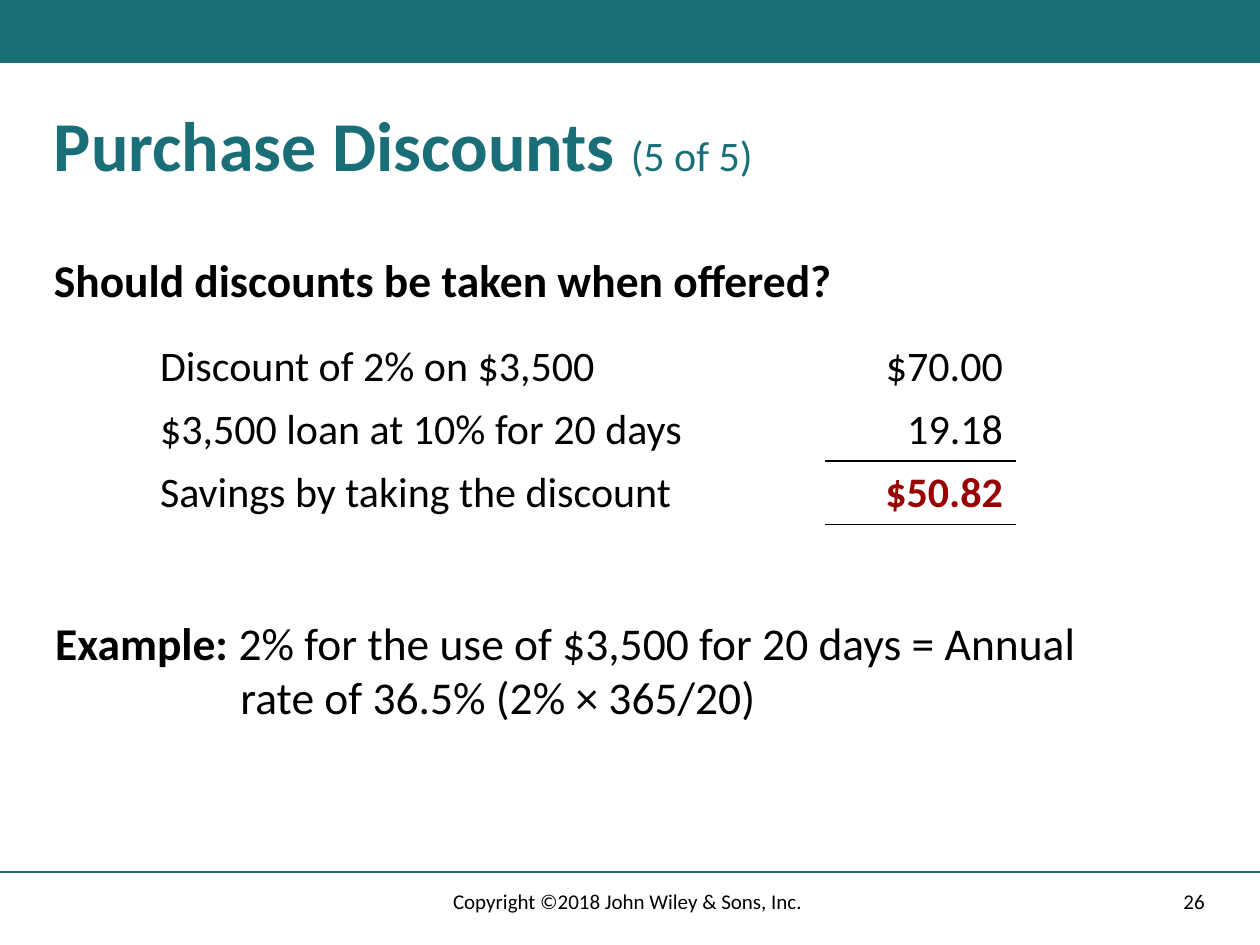
from lxml.etree import SubElement
from pptx import Presentation
from pptx.dml.color import RGBColor
from pptx.enum.shapes import MSO_CONNECTOR as CONN, MSO_SHAPE as SHAPE
from pptx.enum.text import MSO_ANCHOR as ANCHOR, PP_ALIGN as ALIGN
from pptx.oxml import parse_xml
from pptx.oxml.ns import nsdecls, qn
from pptx.util import Inches, Pt

TEAL = RGBColor(0x19, 0x6E, 0x78)
BLACK = RGBColor(0, 0, 0)
WHITE = RGBColor(0xFF, 0xFF, 0xFF)
RED = RGBColor(0x99, 0, 0)

ROWS = [
    ("Discount of 2% on $3,500", "$70.00"),
    ("$3,500 loan at 10% for 20 days", "19.18"),
    ("Savings by taking the discount", "$50.82"),
]


def add_run(p, text, size, color=BLACK, bold=False):
    r = p.add_run()
    r.text = text
    r.font.color.rgb = color
    for name, value in {"name": "Calibri", "size": Pt(size), "bold": bold}.items():
        setattr(r.font, name, value)


def add_text(s, box, runs, anchor=ANCHOR.TOP, **para_format):
    tf = s.shapes.add_textbox(*map(Inches, box)).text_frame
    tf.word_wrap = True
    tf.vertical_anchor = anchor
    p = tf.paragraphs[0]
    for name, value in para_format.items():
        setattr(p, name, value)
    for run in runs:
        add_run(p, *run)
    return p


def add_bar(s):
    sp = s.shapes.add_shape(SHAPE.RECTANGLE, 0, 0, Inches(10), Inches(0.5))
    sp.shadow.inherit = False
    sp.fill.solid()
    sp.fill.fore_color.rgb = TEAL
    sp.line.fill.background()


def add_rule(s, y):
    line = s.shapes.add_connector(CONN.STRAIGHT, 0, Inches(y), Inches(10), Inches(y))
    line.line.color.rgb = TEAL
    line.line.width = Pt(1)
    SubElement(line._element.spPr, qn("a:effectLst"))


def set_borders(cell, **colors):
    tc_pr = cell._tc.get_or_add_tcPr()
    for i, side in enumerate("LRTB"):
        tc_pr.insert(i, parse_xml(
            f'<a:ln{side} {nsdecls("a")} w="12700"><a:solidFill>'
            f'<a:srgbClr val="{colors.get(side, WHITE)}"/>'
            f'</a:solidFill></a:ln{side}>'))


def add_savings_table(s):
    box = map(Inches, (1.17, 2.66, 6.89, 1.5))
    table = s.shapes.add_table(len(ROWS), 2, *box).table
    table.first_row = table.horz_banding = False
    for col, width in zip(table.columns, (5.38, 1.51)):
        col.width = Inches(width)
    last = len(ROWS) - 1
    for i, row in enumerate(ROWS):
        for j, text in enumerate(row):
            cell = table.cell(i, j)
            total = i == last and j == 1
            p = cell.text_frame.paragraphs[0]
            p.alignment = ALIGN.RIGHT if j else ALIGN.LEFT
            add_run(p, text, 24, RED if total else BLACK, total)
            cell.fill.solid()
            cell.fill.fore_color.rgb = WHITE
            set_borders(cell,
                        T=BLACK if total else WHITE,
                        B=BLACK if j and i >= last - 1 else WHITE)


def main():
    """Build the purchase discounts slide."""
    prs = Presentation()
    prs.slide_width, prs.slide_height = Inches(10), Inches(7.5)
    s = prs.slides.add_slide(prs.slide_layouts[6])
    add_bar(s)
    add_rule(s, 6.92)
    add_text(s, (0.33, 0.83, 9.33, 0.83),
             [("Purchase Discounts ", 40, TEAL, True), ("(5 of 5)", 24, TEAL)],
             line_spacing=0.9)
    add_text(s, (0.33, 2, 6.5, 0.47),
             [("Should discounts be taken when offered?", 26, BLACK, True)],
             line_spacing=0.9)
    add_savings_table(s)
    example = add_text(s, (0.34, 4.83, 8.66, 1.08), [
        ("Example:", 26, BLACK, True),
        (" 2% for the use of $3,500 for 20 days = Annual rate of 36.5% "
         "(2% × 365/20)", 26)])
    p_pr = example._p.get_or_add_pPr()
    p_pr.set("marL", str(Inches(1.47)))
    p_pr.set("indent", str(-Inches(1.47)))
    add_text(s, (7.06, 6.95, 2.6, 0.4), [("26", 12)],
             ANCHOR.MIDDLE, alignment=ALIGN.RIGHT)
    add_text(s, (3.31, 6.95, 3.38, 0.4),
             [("Copyright ©2018 John Wiley & Sons, Inc. ", 12)],
             ANCHOR.MIDDLE, alignment=ALIGN.CENTER)
    prs.save("out.pptx")


if __name__ == "__main__":
    main()
